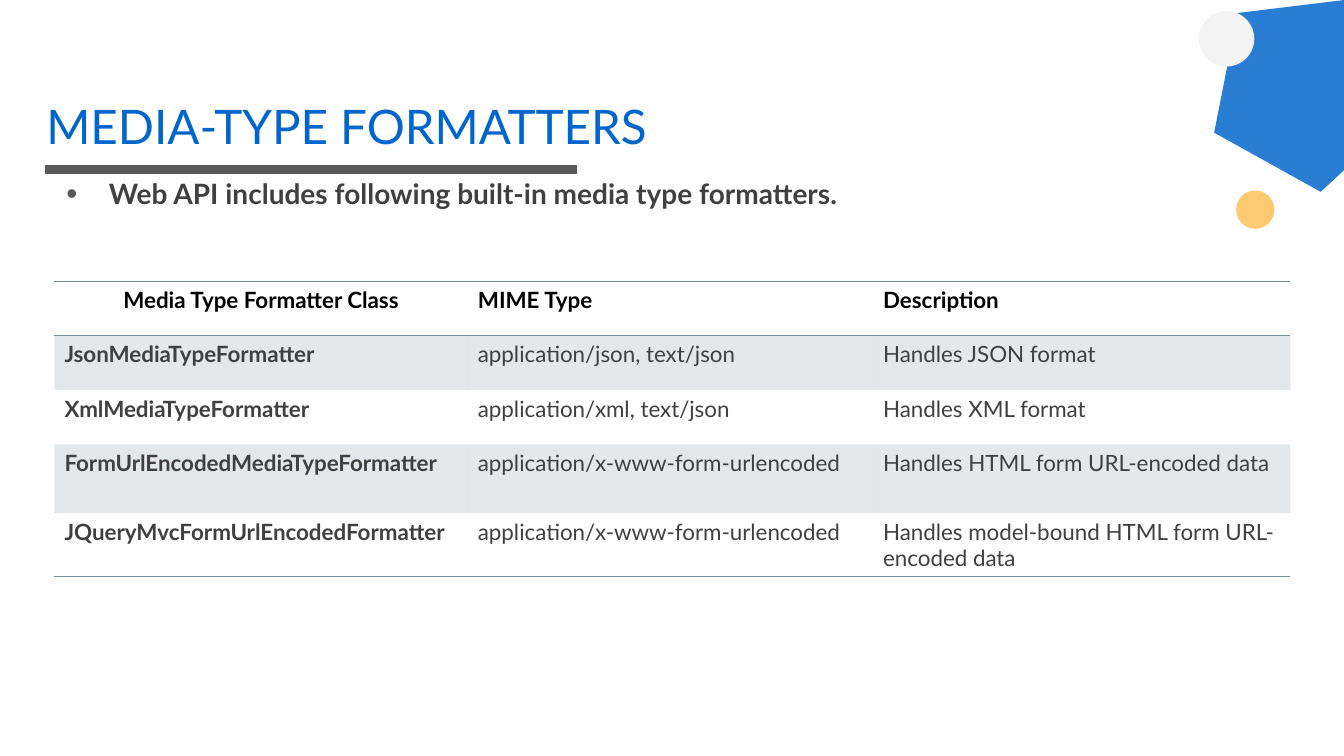
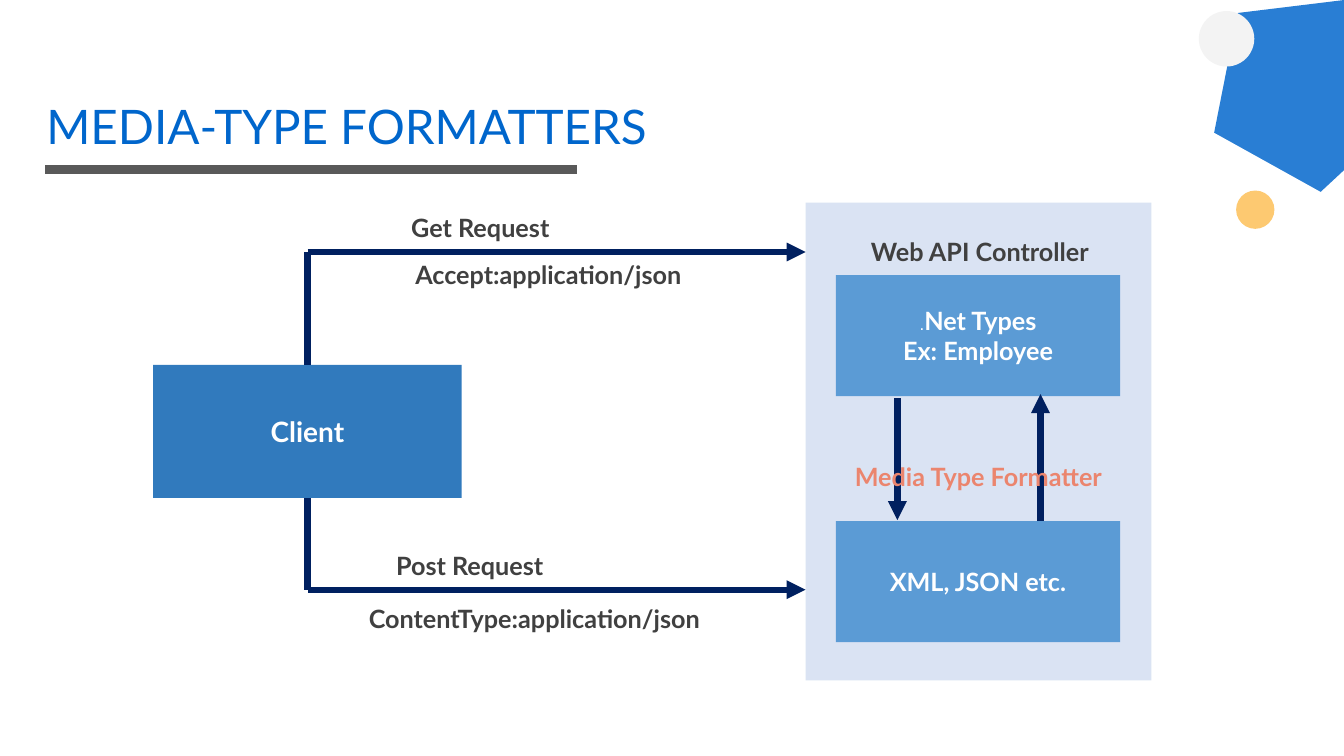
"""Build two slides on media-type formatters: a table and a request diagram."""
import pptx
import pptx.dml.color
import pptx.enum.shapes
import pptx.enum.text
import pptx.oxml
import pptx.oxml.ns
import pptx.util

Inches = pptx.util.Inches
Pt = pptx.util.Pt
SHAPES = pptx.enum.shapes.MSO_SHAPE
ALIGN = pptx.enum.text.PP_ALIGN
ANCHOR = pptx.enum.text.MSO_ANCHOR
qn = pptx.oxml.ns.qn

COLORS = {
    "title": "0066CC",
    "rule": "595959",
    "amber": "FCA106",
    "pale": "F3F3F3",
    "text": "404040",
    "black": "000000",
    "white": "FFFFFF",
    "slate": "78909C",
    "panel": "DAE3F3",
    "box": "5B9BD5",
    "client": "317ABD",
    "arrow": "002060",
    "coral": "EB856E",
}
TITLE = "MEDIA-TYPE FORMATTERS"
NO_STYLE = "{2D5ABB26-0587-4C30-8999-92F81FD0307C}"
COLUMN_WIDTHS = (4.1, 4.02, 4.14)
ROW_HEIGHTS = (0.54, 0.54, 0.54, 0.68, 0.6)
FORMATTERS = (
    ("Media Type Formatter Class", "MIME Type", "Description"),
    ("JsonMediaTypeFormatter", "application/json, text/json", "Handles JSON format"),
    ("XmlMediaTypeFormatter", "application/xml, text/json", "Handles XML format"),
    ("FormUrlEncodedMediaTypeFormatter", "application/x-www-form-urlencoded",
     "Handles HTML form URL-encoded data"),
    ("JQueryMvcFormUrlEncodedFormatter", "application/x-www-form-urlencoded",
     "Handles model-bound HTML form URL-encoded data"),
)


def set_all(target, values):
    """Set every attribute named in values on target."""
    for name, value in values.items():
        setattr(target, name, value)


def rgb(color):
    """Return the named colour as an RGBColor."""
    return pptx.dml.color.RGBColor.from_string(COLORS[color])


def xml(text):
    """Parse a DrawingML fragment that uses the a: prefix."""
    head, tail = text.split(">", 1)
    slash = "/" if head.endswith("/") else ""
    head = head.rstrip("/")
    return pptx.oxml.parse_xml(f"{head} {pptx.oxml.ns.nsdecls('a')}{slash}>{tail}")


def paint(fill, color, alpha=100):
    """Fill with a solid colour at the given opacity in percent."""
    fill.solid()
    fill.fore_color.rgb = rgb(color)
    if alpha < 100:
        clr = fill._xPr.find(".//" + qn("a:srgbClr"))
        clr.append(xml(f'<a:alpha val="{alpha * 1000}"/>'))


def add_run(para, text, size, color, bold=False, font="Lato"):
    """Add one formatted run to a paragraph."""
    span = para.add_run()
    span.text = text
    set_all(span.font, {"name": font, "size": Pt(size), "bold": bold})
    span.font.color.rgb = rgb(color)


def add_shape(page, kind, place, color, alpha=100):
    """Add a flat preset shape without outline or shadow."""
    shape = page.shapes.add_shape(kind, *map(Inches, place))
    shape.shadow.inherit = False
    shape.line.fill.background()
    paint(shape.fill, color, alpha)
    return shape


def add_box(page, place, color, lines=(), size=18):
    """Add a rectangle with centred bold lines, each a list of run settings."""
    box = add_shape(page, SHAPES.RECTANGLE, place, color)
    set_all(box.text_frame, {"word_wrap": True, "vertical_anchor": ANCHOR.MIDDLE})
    for index, runs in enumerate(lines):
        frame = box.text_frame
        para = frame.add_paragraph() if index else frame.paragraphs[0]
        para.alignment = ALIGN.CENTER
        for run in runs:
            add_run(para, **{"size": size, "color": "white", "bold": True, **run})
    return box


def add_text(page, place, text, size, color, bold=False, **frame_values):
    """Add a one-paragraph text box and return the paragraph."""
    frame = page.shapes.add_textbox(*map(Inches, place)).text_frame
    set_all(frame, {"word_wrap": True, **frame_values})
    add_run(frame.paragraphs[0], text, size, color, bold)
    return frame.paragraphs[0]


def add_label(page, place, text, color="text"):
    """Add a bold diagram label on a single line."""
    add_text(page, place, text, 18, color, True, word_wrap=False)


def add_line(page, start, end, color="arrow", width=4.5, arrow=False):
    """Add a straight line, with an arrowhead at its end if asked."""
    line = page.shapes.add_connector(
        pptx.enum.shapes.MSO_CONNECTOR.STRAIGHT, *map(Inches, start + end))
    line.line.width = Pt(width)
    line.line.color.rgb = rgb(color)
    if arrow:
        line.line._get_or_add_ln().append(xml('<a:tailEnd type="triangle"/>'))
    line.element.spPr.append(xml("<a:effectLst/>"))
    return line


def add_page(deck):
    """Add a blank slide with the shared title, rule and corner ornaments."""
    page = deck.slides.add_slide(deck.slide_layouts[6])
    add_line(page, (0.45, 1.68), (5.72, 1.68), "rule", 6)
    pentagon = add_shape(
        page, SHAPES.REGULAR_PENTAGON, (11.93, -0.12, 1.96, 1.86), "title", 84)
    pentagon.rotation = 317.1
    add_shape(page, SHAPES.OVAL, (12.26, 1.89, 0.38, 0.38), "amber", 57)
    add_shape(page, SHAPES.OVAL, (11.89, 0.11, 0.55, 0.55), "pale")
    add_text(page, (0.46, 0.95, 12.42, 0.74), TITLE, 34, "title",
             margin_left=0, margin_top=Inches(0.01), margin_right=0, margin_bottom=0)
    return page


def add_bullet(page, place, text):
    """Add a bold bulleted statement."""
    sides = ("left", "top", "right", "bottom")
    para = add_text(page, place, text, 20, "text", True,
                    **{f"margin_{side}": Inches(0.13) for side in sides})
    set_all(para, {"line_spacing": Pt(15), "space_before": Pt(10), "space_after": Pt(12)})
    properties = para._p.get_or_add_pPr()
    properties.set("marL", str(Inches(0.5)))
    properties.set("indent", str(Inches(-0.42)))
    for fragment in (
        f'<a:buClr><a:srgbClr val="{COLORS["rule"]}"/></a:buClr>',
        '<a:buSzPct val="113000"/>',
        '<a:buFont typeface="Arial"/>',
        '<a:buChar char="•"/>',
    ):
        properties.append(xml(fragment))


def add_borders(cell, sides):
    """Draw thin slate borders on the given sides, T before B."""
    properties = cell._tc.get_or_add_tcPr()
    for index, side in enumerate(sides):
        properties.insert(index, xml(
            f'<a:ln{side} w="{Pt(1)}"><a:solidFill><a:srgbClr val="{COLORS["slate"]}"/>'
            f"</a:solidFill></a:ln{side}>"))


def add_formatter_table(page, left, top):
    """Add the table of formatter classes with banded rows."""
    frame = page.shapes.add_table(
        len(ROW_HEIGHTS), len(COLUMN_WIDTHS), Inches(left), Inches(top),
        Inches(sum(COLUMN_WIDTHS)), Inches(sum(ROW_HEIGHTS)))
    table = frame.table
    set_all(table, {"first_row": False, "horz_banding": False})
    for style in frame.element.iter(qn("a:tableStyleId")):
        style.text = NO_STYLE
    for column, width in zip(table.columns, COLUMN_WIDTHS):
        column.width = Inches(width)
    borders = {0: "TB", len(FORMATTERS) - 1: "B"}
    for row, texts in enumerate(FORMATTERS):
        table.rows[row].height = Inches(ROW_HEIGHTS[row])
        for column, text in enumerate(texts):
            cell = table.cell(row, column)
            para = cell.text_frame.paragraphs[0]
            add_run(para, text, 16, "text" if row else "black", row == 0 or column == 0)
            if row == 0 and column == 0:
                para.alignment = ALIGN.CENTER
            if row % 2:
                paint(cell.fill, "slate", 20)
            else:
                cell.fill.background()
            add_borders(cell, borders.get(row, ""))


def add_diagram(page):
    """Draw the client, the controller and the requests between them."""
    client_x, panel_x = 3.05, 7.99
    get_y, post_y = 2.5, 5.85
    add_box(page, (panel_x, 2.01, 3.43, 4.74), "panel")
    add_box(page, (8.29, 2.73, 2.82, 1.2), "box", (
        ({"text": ".", "size": 12, "bold": False, "font": "Arial"}, {"text": "Net Types"}),
        ({"text": "Ex: Employee"},),
    ))
    add_box(page, (8.29, 5.17, 2.82, 1.2), "box", (({"text": "XML, JSON etc."},),))
    client = add_box(page, (1.52, 3.62, 3.06, 1.32), "client", (({"text": "Client"},),), 20)

    add_line(page, (10.32, 5.17), (10.32, 3.91), arrow=True)
    add_line(page, (8.9, 3.95), (8.9, 5.16), arrow=True)
    for y, edge, site in ((get_y, 3.62, 0), (post_y, 4.94, 2)):
        stem = add_line(page, (client_x, y), (client_x, edge))
        stem.end_connect(client, site)
        add_line(page, (client_x, y), (panel_x, y), arrow=True)

    add_label(page, (8.54, 2.3, 2.42, 0.4), "Web API Controller")
    add_label(page, (8.38, 4.53, 2.74, 0.4), "Media Type Formatter", "coral")
    add_label(page, (3.98, 2.06, 1.6, 0.4), "Get Request")
    add_label(page, (4.02, 2.52, 2.88, 0.4), "Accept:application/json")
    add_label(page, (3.83, 5.41, 1.69, 0.4), "Post Request")
    add_label(page, (3.56, 5.94, 3.57, 0.4), "ContentType:application/json")


def main():
    """Build and save the deck."""
    deck = pptx.Presentation()
    set_all(deck, {"slide_width": Inches(13.33), "slide_height": Inches(7.5)})
    page = add_page(deck)
    add_bullet(page, (0.45, 1.77, 12.5, 4.76),
               "Web API includes following built-in media type formatters.")
    add_formatter_table(page, 0.54, 2.79)
    add_diagram(add_page(deck))
    deck.save("out.pptx")


if __name__ == "__main__":
    main()
